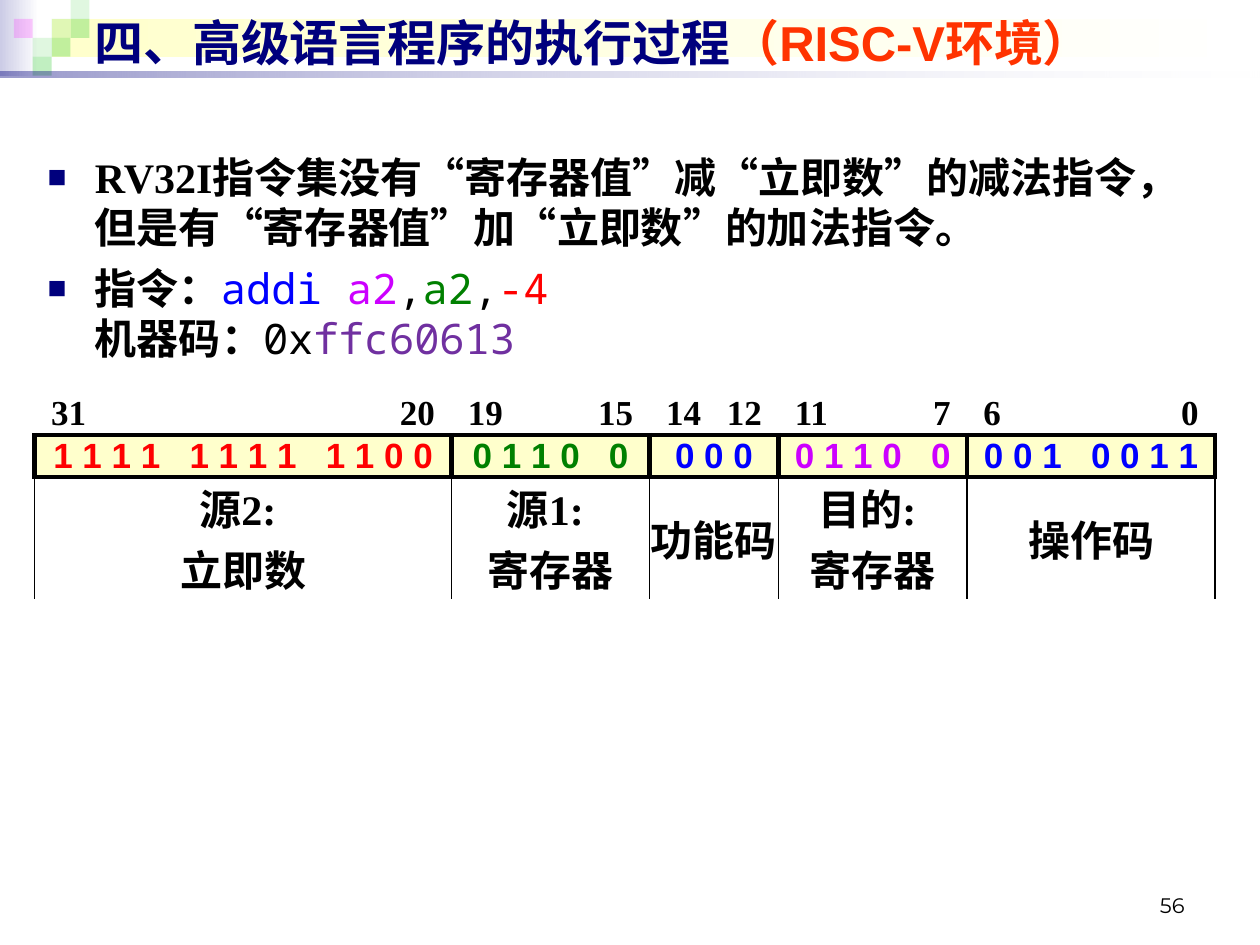
from itertools import accumulate

from lxml.etree import SubElement
from pptx import Presentation
from pptx.dml.color import RGBColor
from pptx.enum.shapes import MSO_SHAPE as Shape
from pptx.enum.text import MSO_ANCHOR as Anchor, PP_ALIGN as Align
from pptx.oxml.ns import qn
from pptx.util import Pt

TITLE = dict(name="Arial", size=Pt(28), bold=True)
BODY = dict(name="Times New Roman", size=Pt(24), bold=True)
CODE = dict(name="Noto Sans Mono", size=Pt(24), bold=False)
RANGE = dict(name="Times New Roman", size=Pt(20), bold=True)
BITS = dict(name="Arial", size=Pt(20), bold=True)
NUMBER = dict(name="Montserrat", size=Pt(12), bold=False)

NAVY, BLACK, CREAM, WHITE = "00007D", "000000", "FFFFCC", "FFFFFF"
RED, GREEN, BLUE, PURPLE = "FF0000", "008000", "0000FF", "CC00FF"

TILE = 10.8
TILES = [(2, 1, "33CC33", 15), (3, 0, "33CC33", 15), (3, 1, "33CC33", 30),
         (1, 2, "33CC33", 15), (0, 1, "FF00FF", 20), (2, 2, "33CC33", 30),
         (1, 3, "33CC33", 30)]

FIELDS = [
    (238.2, "31", "20", ["1 1 1 1", "1 1 1 1", "1 1 0 0"], RED, ["源2: ", "立即数"]),
    (113.2, "19", "15", ["0 1 1 0", "0"], GREEN, ["源1: ", "寄存器"]),
    (73.6, "14", "12", ["0 0 0"], BLUE, ["功能码"]),
    (107.8, "11", "7", ["0 1 1 0", "0"], PURPLE, ["目的: ", "寄存器"]),
    (141.8, "6", "0", ["0 0 1", "0 0 1 1"], BLUE, ["操作码"]),
]
ROW_HEIGHTS = [22.3, 22.3, 69.4]
RANGE_INSET = 9.4
DIGIT, SPACE = 11.12, 5.56
GROUP_GAP = 3 * SPACE


def color(value):
    return RGBColor.from_string(value)


def set_values(target, values):
    for name, value in values.items():
        setattr(target, name, value)


def add_run(paragraph, text, style, hue=BLACK):
    run = paragraph.add_run()
    run.text = text
    set_values(run.font, style)
    run.font.color.rgb = color(hue)


def add_block(slide, left, top, width, height, *stops):
    shape = slide.shapes.add_shape(Shape.RECTANGLE, Pt(left), Pt(top), Pt(width), Pt(height))
    shape.shadow.inherit = False
    shape.line.fill.background()
    if len(stops) == 1:
        shape.fill.solid()
        shape.fill.fore_color.rgb = color(stops[0][0])
    else:
        shape.fill.gradient()
        shape.fill.gradient_angle = 0
        for stop, (hue, _) in zip(shape.fill.gradient_stops, stops):
            stop.color.rgb = color(hue)
    for element, (_, opacity) in zip(shape._element.spPr.iter(qn("a:srgbClr")), stops):
        if opacity < 100:
            SubElement(element, qn("a:alpha"), val=str(opacity * 1000))


def add_text(slide, left, top, width, height, anchor=Anchor.TOP):
    frame = slide.shapes.add_textbox(Pt(left), Pt(top), Pt(width), Pt(height)).text_frame
    set_values(frame, dict(word_wrap=True, vertical_anchor=anchor))
    return frame


def set_bullet(paragraph):
    properties = paragraph._p.get_or_add_pPr()
    set_indent = dict(marL=str(Pt(27)), indent=str(-Pt(27)))
    for name, value in set_indent.items():
        properties.set(name, value)
    SubElement(SubElement(properties, qn("a:buClr")), qn("a:srgbClr"), val=NAVY)
    SubElement(properties, qn("a:buSzPct"), val="75000")
    SubElement(properties, qn("a:buFont"), typeface="Arial")
    SubElement(properties, qn("a:buChar"), char="■")


def add_bullet(paragraph, lines, space_before=0):
    set_bullet(paragraph)
    set_values(paragraph, dict(line_spacing=Pt(28.8), space_before=Pt(space_before)))
    for index, line in enumerate(lines):
        if index:
            paragraph.add_line_break()
        for run in line:
            add_run(paragraph, *run)


def set_tabs(paragraph, stops, align):
    tabs = SubElement(paragraph._p.get_or_add_pPr(), qn("a:tabLst"))
    for stop in stops:
        SubElement(tabs, qn("a:tab"), pos=str(Pt(stop)), algn=align)


def set_borders(cell, **widths):
    properties = cell._tc.get_or_add_tcPr()
    for index, side in enumerate("LRTB"):
        width = widths.get(side, 0)
        line = properties.makeelement(qn(f"a:ln{side}"), {"w": str(Pt(width))})
        properties.insert(index, line)
        if width:
            SubElement(SubElement(line, qn("a:solidFill")), qn("a:srgbClr"), val=BLACK)
        else:
            SubElement(line, qn("a:noFill"))


def prepare_cell(cell, fill=None, inset=0, **borders):
    set_values(cell, dict(margin_left=Pt(inset), margin_right=0, margin_top=0,
                          margin_bottom=0, vertical_anchor=Anchor.MIDDLE))
    if fill:
        cell.fill.solid()
        cell.fill.fore_color.rgb = color(fill)
    else:
        cell.fill.background()
    set_borders(cell, **borders)
    return cell.text_frame.paragraphs[0]


def fill_range(cell, width, high, low):
    paragraph = prepare_cell(cell, inset=RANGE_INSET, B=3)
    set_tabs(paragraph, [width - 2 * RANGE_INSET], "r")
    add_run(paragraph, f"{high}\t{low}", RANGE)


def fill_bits(cell, width, groups, hue):
    pitches = [g.count(" ") * SPACE + len(g.split()) * DIGIT + GROUP_GAP for g in groups]
    inset = (width - sum(pitches) + GROUP_GAP) / 2
    paragraph = prepare_cell(cell, CREAM, inset, L=3, R=3, T=3, B=3)
    set_tabs(paragraph, list(accumulate(pitches))[:-1], "l")
    add_run(paragraph, "\t".join(groups), BITS, hue)


def fill_meaning(cell, lines):
    paragraph = prepare_cell(cell, L=1, R=1, T=3)
    for index, line in enumerate(lines):
        if index:
            paragraph = cell.text_frame.add_paragraph()
        paragraph.alignment = Align.CENTER
        add_run(paragraph, line, BODY)


def add_instruction_table(slide):
    width = sum(field[0] for field in FIELDS)
    table = slide.shapes.add_table(3, len(FIELDS), Pt(19.8), Pt(224.6),
                                   Pt(width), Pt(sum(ROW_HEIGHTS))).table
    set_values(table, dict(first_row=False, horz_banding=False))
    for row, height in zip(table.rows, ROW_HEIGHTS):
        row.height = Pt(height)
    for index, (width, high, low, groups, hue, meaning) in enumerate(FIELDS):
        table.columns[index].width = Pt(width)
        fill_range(table.cell(0, index), width, high, low)
        fill_bits(table.cell(1, index), width, groups, hue)
        fill_meaning(table.cell(2, index), meaning)


def add_header(slide):
    add_block(slide, 0, 0, 22.3, 43.2, ("CCCCE6", 100), (WHITE, 100))
    add_block(slide, 29.5, TILE, 687.6, 21.6, (CREAM, 100), (WHITE, 100))
    for column, row, hue, opacity in TILES:
        add_block(slide, 7.9 + column * TILE, row * TILE, TILE, TILE, (hue, opacity))
    add_block(slide, 0, 41, 720, 3.6, (NAVY, 40), (WHITE, 10))
    title = add_text(slide, 46.8, 3.6, 648, 41, Anchor.MIDDLE).paragraphs[0]
    add_run(title, "四、高级语言程序的执行过程", TITLE, NAVY)
    add_run(title, "（RISC-V环境）", TITLE, "FF3300")


def add_body(slide):
    frame = add_text(slide, 20.2, 82.8, 692, 136)
    add_bullet(frame.paragraphs[0], [
        [("RV32I指令集没有“寄存器值”减“立即数”的减法指令，", BODY)],
        [("但是有“寄存器值”加“立即数”的加法指令。", BODY)]])
    add_bullet(frame.add_paragraph(), [
        [("指令：", BODY), ("addi ", CODE, BLUE), ("a2", CODE, PURPLE), (",", CODE),
         ("a2", CODE, GREEN), (",", CODE), ("-4", CODE, RED)],
        [("机器码：", BODY), ("0x", CODE), ("ffc60613", CODE, "7030A0")]], 6)


def add_slide_number(slide):
    paragraph = add_text(slide, 516.2, 491.8, 167.8, 36, Anchor.BOTTOM).paragraphs[0]
    paragraph.alignment = Align.RIGHT
    add_run(paragraph, "56", NUMBER)


def main():
    presentation = Presentation()
    set_values(presentation, dict(slide_width=Pt(720), slide_height=Pt(540)))
    slide = presentation.slides.add_slide(presentation.slide_layouts[6])
    add_header(slide)
    add_body(slide)
    add_slide_number(slide)
    add_instruction_table(slide)
    presentation.save("out.pptx")


if __name__ == "__main__":
    main()
